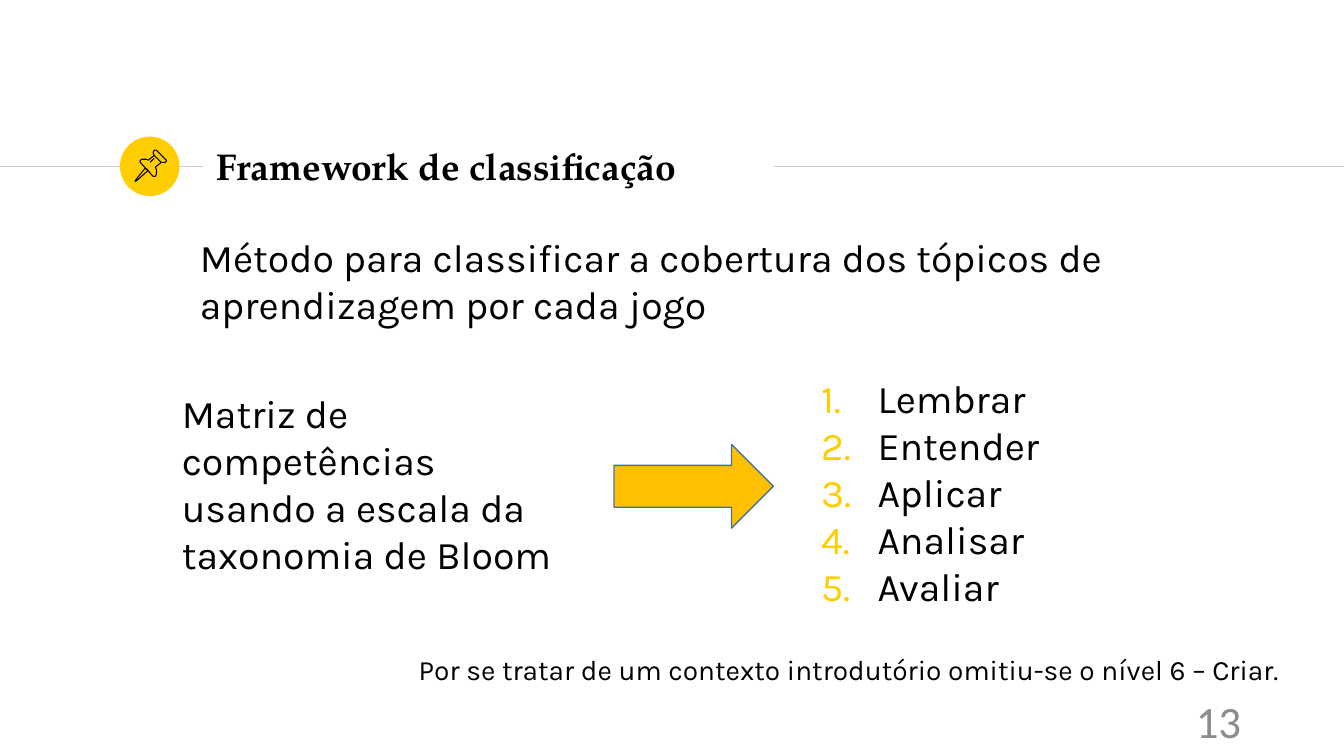
"""Build the slide on the classification framework and its five levels."""
from lxml import etree
from pptx import Presentation
from pptx import util as u
from pptx.dml.color import RGBColor
from pptx.enum import shapes, text
from pptx.oxml.ns import qn

BLACK = RGBColor(0x00, 0x00, 0x00)
GREY = RGBColor(0x8C, 0x8C, 0x8C)
RULE_GREY = RGBColor(0xCC, 0xCC, 0xCC)
YELLOW = RGBColor(0xFF, 0xCD, 0x00)
AMBER = RGBColor(0xFF, 0xC0, 0x00)
BLUE = RGBColor(0x43, 0x73, 0x9E)

WIDTH, HEIGHT = 13.33, 7.5
RULE_Y = 0.22 * HEIGHT
TITLE_LEFT, TITLE_RIGHT = 2.01, 7.68
BADGE_LEFT, BADGE_SIZE = 1.19, 0.59
INSET, INDENT = WIDTH / 100, 0.33
LIST_INDENT, LIST_HANGING = 0.9, 0.56

TITLE = "Framework de classificação"
LEVELS = ["Lembrar", "Entender", "Aplicar", "Analisar", "Avaliar"]
PASSAGES = [
    ("Método para classificar a cobertura dos tópicos de aprendizagem por cada jogo",
     (1.52, 2.18, 9.93, 1.16), 28),
    ("Matriz de competências usando a escala da taxonomia de Bloom",
     (1.34, 3.73, 4.46, 3.12), 28),
    ("Por se tratar de um contexto introdutório omitiu-se o nível 6 – Criar.",
     (3.69, 6.34, 9.93, 1.09), 20),
]
LEVELS_BOX = (TITLE_RIGHT - 0.01, 3.58, 4.46, 3.12)
ARROW_BOX = (6.09, 4.41, 1.58, 0.83)
PAGE_NUMBER, PAGE_BOX = "13", (9.41, 6.95, 3, 0.4)

PIN_PARTS = [
    ([(1.44, 1.67), (1.35, 1.78), (1.34, 1.8), (1.36, 1.79), (1.47, 1.69)], True),
    ([(1.53, 1.54), (1.6, 1.61), (1.62, 1.61), (1.64, 1.61), (1.65, 1.6),
      (1.65, 1.59), (1.55, 1.49), (1.54, 1.49), (1.53, 1.49), (1.52, 1.51),
      (1.52, 1.52)], True),
    ([(1.53, 1.54), (1.47, 1.59), (1.45, 1.58), (1.43, 1.58), (1.41, 1.58),
      (1.39, 1.59), (1.39, 1.61), (1.52, 1.75), (1.54, 1.75), (1.55, 1.73),
      (1.55, 1.68), (1.54, 1.66), (1.6, 1.61)], False),
    ([(1.49, 1.61), (1.53, 1.57)], False),
]


def inches(values):
    return [u.Inches(value) for value in values]


def add_text(slide, lines, box, size, font="Karla", color=BLACK, inset=INSET,
             anchor=text.MSO_ANCHOR.TOP, indent=0.0):
    frame = slide.shapes.add_textbox(*inches(box)).text_frame
    frame.word_wrap = True
    frame.vertical_anchor = anchor
    frame.margin_left = frame.margin_right = u.Inches(inset)
    frame.margin_top = frame.margin_bottom = u.Inches(inset)
    frame.text = "\n".join(lines)
    for paragraph in frame.paragraphs:
        paragraph.font.name = font
        paragraph.font.size = u.Pt(size)
        paragraph.font.color.rgb = color
        paragraph._p.get_or_add_pPr().set("marL", str(u.Inches(indent)))
    return frame.paragraphs


def number(paragraph):
    properties = paragraph._p.get_or_add_pPr()
    properties.set("indent", str(-u.Inches(LIST_HANGING)))
    bullet_color = etree.Element(qn("a:buClr"))
    etree.SubElement(bullet_color, qn("a:srgbClr"), val=str(YELLOW))
    bullet_font = etree.Element(qn("a:buFont"), typeface="Karla")
    numbering = etree.Element(qn("a:buAutoNum"), type="arabicPeriod")
    for position, element in enumerate((bullet_color, bullet_font, numbering)):
        properties.insert(position, element)


def add_rule(slide, start, end):
    rule = slide.shapes.add_connector(
        shapes.MSO_CONNECTOR.STRAIGHT, *inches((start, RULE_Y, end, RULE_Y)))
    rule.line.color.rgb = RULE_GREY
    rule.line.width = u.Pt(0.75)
    etree.SubElement(rule._element.spPr, qn("a:effectLst"))


def add_filled(slide, kind, box, fill):
    shape = slide.shapes.add_shape(kind, *inches(box))
    shape.shadow.inherit = False
    shape.fill.solid()
    shape.fill.fore_color.rgb = fill
    return shape


def add_pin(slide):
    for points, closed in PIN_PARTS:
        start, *rest = [inches(point) for point in points]
        builder = slide.shapes.build_freeform(*start)
        builder.add_line_segments(rest, close=closed)
        part = builder.convert_to_shape()
        part.shadow.inherit = False
        part.fill.background()
        part.line.color.rgb = BLACK
        part.line.width = u.Pt(0.75)


def main():
    deck = Presentation()
    deck.slide_width, deck.slide_height = inches((WIDTH, HEIGHT))
    slide = deck.slides.add_slide(deck.slide_layouts[6])

    add_rule(slide, 0, TITLE_LEFT)
    badge_box = (BADGE_LEFT, RULE_Y - BADGE_SIZE / 2, BADGE_SIZE, BADGE_SIZE)
    badge = add_filled(slide, shapes.MSO_SHAPE.OVAL, badge_box, YELLOW)
    badge.line.fill.background()
    add_rule(slide, TITLE_RIGHT, WIDTH)
    title_box = (TITLE_LEFT, 1.35, TITLE_RIGHT - TITLE_LEFT, 0.64)
    title = add_text(slide, [TITLE], title_box, 26.6, "TeX Gyre Pagella",
                     anchor=text.MSO_ANCHOR.MIDDLE)[0]
    title.font.bold = True
    title.line_spacing = 0.9
    add_pin(slide)

    for passage, box, size in PASSAGES:
        add_text(slide, [passage], box, size, indent=INDENT)
    for level in add_text(slide, LEVELS, LEVELS_BOX, 28, indent=LIST_INDENT):
        number(level)

    arrow = add_filled(slide, shapes.MSO_SHAPE.RIGHT_ARROW, ARROW_BOX, AMBER)
    arrow.line.color.rgb = BLUE
    arrow.line.width = u.Pt(1)
    page = add_text(slide, [PAGE_NUMBER], PAGE_BOX, 32, "Calibri", GREY, 0.1,
                    text.MSO_ANCHOR.MIDDLE)[0]
    page.alignment = text.PP_ALIGN.RIGHT
    deck.save("out.pptx")


if __name__ == "__main__":
    main()
